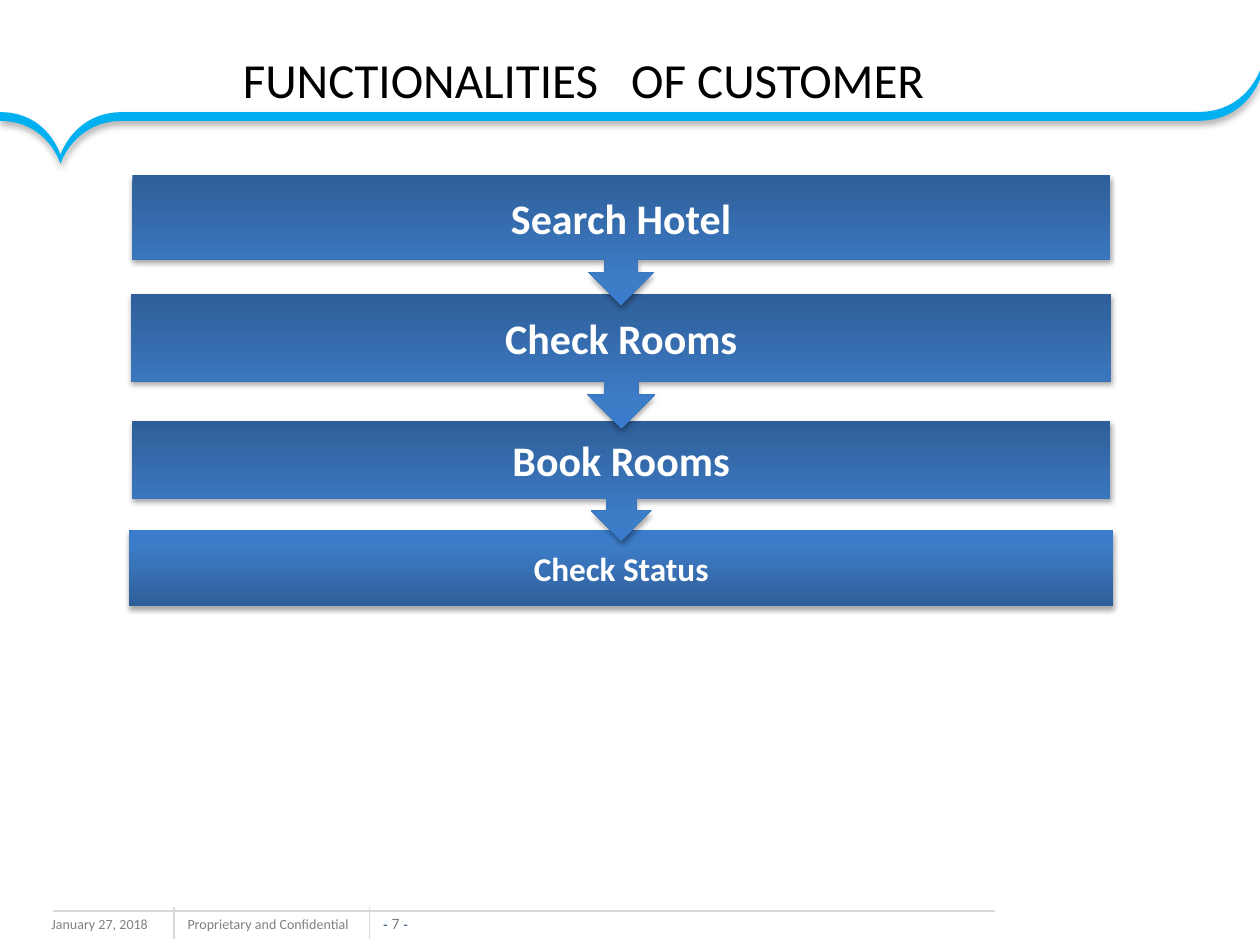
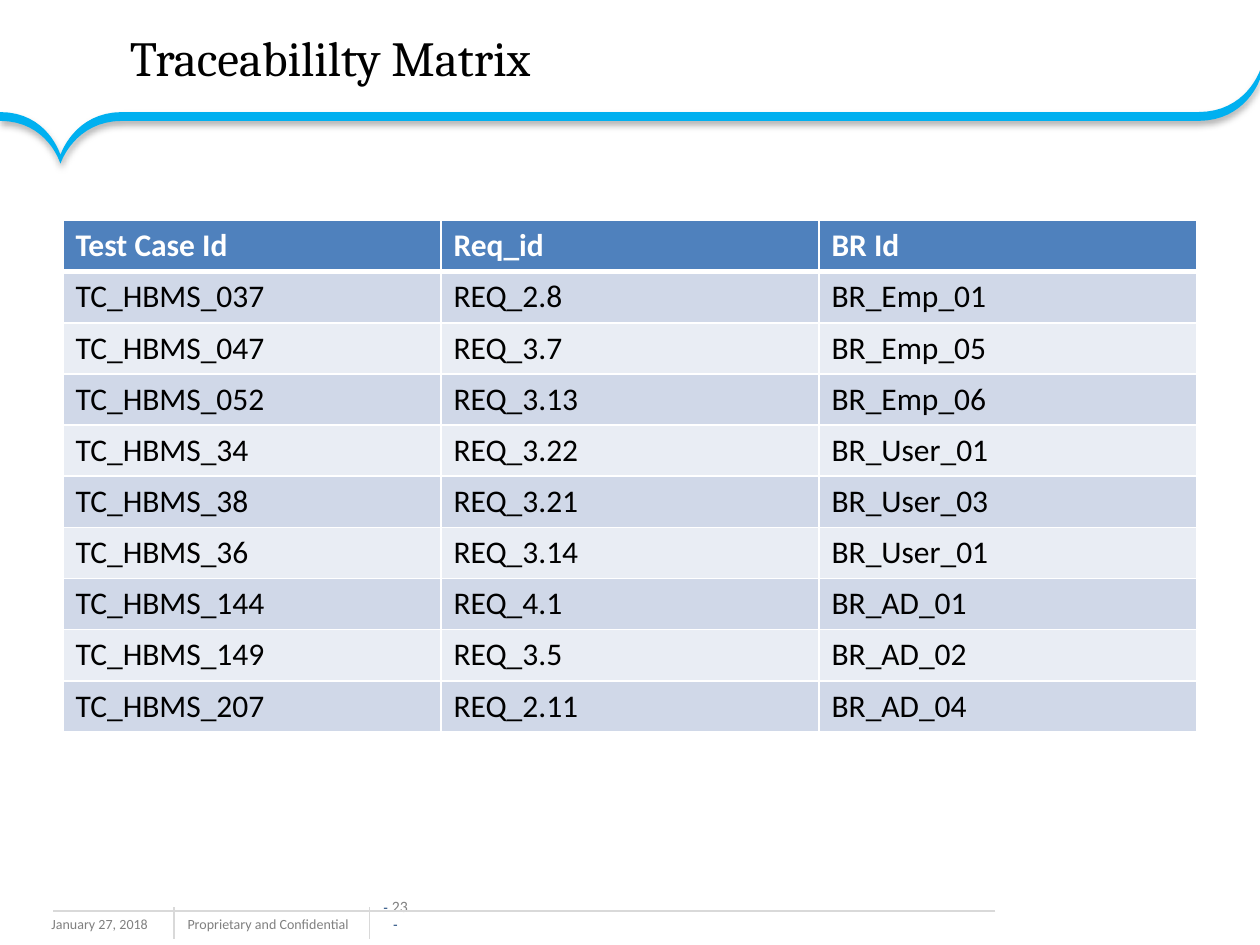
"""Build the customer functionality flow and the traceability matrix slides."""
from dataclasses import dataclass

from pptx import Presentation
from pptx.dml.color import RGBColor
from pptx.enum.shapes import MSO_CONNECTOR, MSO_SHAPE
from pptx.enum.text import MSO_ANCHOR, MSO_AUTO_SIZE, PP_ALIGN
from pptx.oxml import parse_xml
from pptx.oxml.ns import nsdecls, qn
from pptx.util import Inches, Pt

LEFT, CENTER = PP_ALIGN.LEFT, PP_ALIGN.CENTER
TOP, MIDDLE, BOTTOM = MSO_ANCHOR.TOP, MSO_ANCHOR.MIDDLE, MSO_ANCHOR.BOTTOM
NO_AUTOFIT = MSO_AUTO_SIZE.NONE
STRAIGHT = MSO_CONNECTOR.STRAIGHT
RECTANGLE, CALLOUT = MSO_SHAPE.RECTANGLE, MSO_SHAPE.UP_ARROW_CALLOUT

WIDTH, HEIGHT = Inches(10), Inches(7.5)
COLUMN, ROW = WIDTH / 100, HEIGHT / 75
BODY, SERIF, DASH_FONT = "Calibri", "Cambria", "Arial"
COLORS = {
    "wave": "00B0F0", "black": "000000", "white": "FFFFFF",
    "footer": "808080", "dash": "1F497D", "rule": "D9D9D9",
    "header": "4F81BD", "odd": "D0D8E8", "even": "E9EDF4",
    "step dark": "2F5F99", "step mid": "3D7CC7", "step light": "3A7CCB",
}
STEP_STOPS = ((0, "step dark"), (80, "step mid"), (100, "step light"))


@dataclass(frozen=True)
class Area:
    """A rectangle in grid columns and rows."""
    left: float
    top: float
    width: float
    height: float

    def emu(self) -> tuple[int, int, int, int]:
        """Return the rectangle in slide units."""
        return (round(self.left * COLUMN), round(self.top * ROW),
                round(self.width * COLUMN), round(self.height * ROW))


@dataclass(frozen=True)
class Span:
    """A stretch of text with one style."""
    text: str
    size: float
    color: str
    font: str = BODY
    bold: bool = False
    tracking: float = 0


@dataclass(frozen=True)
class Shadow:
    """A downward shadow: opacity in percent, blur and distance in points."""
    opacity: float
    blur: float
    distance: float


@dataclass(frozen=True)
class Step:
    """One box of the flow, centred on the flow axis."""
    label: str
    top: float
    width: float
    height: float
    size: float = 24
    has_arrow: bool = True


WAVE_SHADOW, STEP_SHADOW = Shadow(31, 4, 2), Shadow(35, 3.1, 1.8)
WAVE_START, WAVE_THICKNESS = (100, 5.6), 0.7
WAVE_CURVES = (
    ((100, 5.6), (98.9, 8.9), (95.1, 8.9)),
    ((95.1, 8.9), (9.7, 8.9), (9.7, 8.9)),
    ((5.9, 8.9), (4.8, 12.3), (4.8, 12.3)),
    ((4.8, 12.3), (3.8, 8.9), (0, 8.9)),
)
FOOTER_RULES = ((13.8, 72, 13.8, 74.5), (29.3, 72, 29.3, 74.5), (79, 72.3, 4.2, 72.3))
FLOW_AXIS, CALLOUT_BODY = 49.3, 0.65
STEPS = (
    Step("Search Hotel", 13.9, 77.6, 10.3),
    Step("Check Rooms", 23.3, 77.8, 10.7),
    Step("Book Rooms", 33.4, 77.7, 9.5),
    Step("Check Status", 42.1, 78.1, 6, size=19, has_arrow=False),
)
MATRIX_AREA = Area(5, 17.5, 90, 40.6)
MATRIX = (
    ("Test Case Id", "Req_id", "BR Id"),
    ("TC_HBMS_037", "REQ_2.8", "BR_Emp_01"),
    ("TC_HBMS_047", "REQ_3.7", "BR_Emp_05"),
    ("TC_HBMS_052", "REQ_3.13", "BR_Emp_06"),
    ("TC_HBMS_34", "REQ_3.22", "BR_User_01"),
    ("TC_HBMS_38", "REQ_3.21", "BR_User_03"),
    ("TC_HBMS_36", "REQ_3.14", "BR_User_01"),
    ("TC_HBMS_144", "REQ_4.1", "BR_AD_01"),
    ("TC_HBMS_149", "REQ_3.5", "BR_AD_02"),
    ("TC_HBMS_207", "REQ_2.11", "BR_AD_04"),
)


def rgb(name: str) -> RGBColor:
    """Return a named colour."""
    return RGBColor.from_string(COLORS[name])


def write_spans(para, spans: tuple[Span, ...]) -> None:
    """Fill a paragraph with styled spans."""
    for span in spans:
        run = para.add_run()
        run.text = span.text
        font = run.font
        font.name, font.size, font.bold = span.font, Pt(span.size), span.bold
        font.color.rgb = rgb(span.color)
        if span.tracking:
            run._r.get_or_add_rPr().set("spc", str(round(span.tracking * 100)))


def set_effects(shape, shadow: Shadow | None = None) -> None:
    """Replace the theme effects of a shape by a shadow or by nothing."""
    inner = ""
    if shadow:
        inner = (f'<a:outerShdw blurRad="{Pt(shadow.blur)}" dist="{Pt(shadow.distance)}" '
                 f'dir="5400000" rotWithShape="0"><a:srgbClr val="{COLORS["black"]}">'
                 f'<a:alpha val="{shadow.opacity * 1000}"/></a:srgbClr></a:outerShdw>')
    effects = parse_xml(f'<a:effectLst {nsdecls("a")}>{inner}</a:effectLst>')
    shape._element.spPr.append(effects)


def add_text(page, area: Area, *spans: Span, align=LEFT, anchor=TOP,
             inset: float | None = None, wrap: bool = True) -> None:
    """Add a text box with one paragraph."""
    frame = page.shapes.add_textbox(*area.emu()).text_frame
    frame.word_wrap, frame.auto_size = wrap, NO_AUTOFIT
    frame.vertical_anchor = anchor
    if inset is not None:
        frame.margin_left = frame.margin_right = Inches(inset)
        frame.margin_top = frame.margin_bottom = Inches(inset)
    para = frame.paragraphs[0]
    para.alignment = align
    write_spans(para, spans)


def add_wave(page) -> None:
    """Draw the curved band under the title."""
    edge = [WAVE_START]
    for first, second, end in WAVE_CURVES:
        start = edge[-1]
        for index in range(1, 17):
            t = index / 16
            weights = ((1 - t) ** 3, 3 * t * (1 - t) ** 2, 3 * t * t * (1 - t), t ** 3)
            corners = (start, first, second, end)
            edge.append(tuple(sum(weight * corner[axis] for weight, corner in zip(weights, corners))
                              for axis in (0, 1)))
    outline = edge + [(x, y + WAVE_THICKNESS) for x, y in reversed(edge)]
    points = [(round(x * COLUMN), round(y * ROW)) for x, y in outline]
    builder = page.shapes.build_freeform(*points[0])
    builder.add_line_segments(points[1:], close=True)
    wave = builder.convert_to_shape()
    wave.fill.solid()
    wave.fill.fore_color.rgb = rgb("wave")
    wave.line.fill.background()
    set_effects(wave, WAVE_SHADOW)


def add_footer(page, number: int) -> None:
    """Draw the date, the notice, the page number and their rules."""
    add_text(page, Area(3.1, 72.2, 13.3, 2.5), Span("January 27, 2018", 8, "footer"))
    add_text(page, Area(13.9, 72.2, 15.7, 2.4),
             Span("Proprietary and Confidential", 8, "footer"), wrap=False)
    add_text(page, Area(30.1, 72.5, 2.6, 1.5), Span("- ", 8, "dash", DASH_FONT),
             Span(f"{number} ", 9, "footer"), Span("-", 8, "dash", DASH_FONT),
             align=CENTER, anchor=BOTTOM, inset=0)
    for x1, y1, x2, y2 in FOOTER_RULES:
        rule = page.shapes.add_connector(STRAIGHT, round(x1 * COLUMN), round(y1 * ROW),
                                         round(x2 * COLUMN), round(y2 * ROW))
        rule.line.color.rgb = rgb("rule")
        rule.line.width = Pt(0.75)
        set_effects(rule)


def add_page(deck, number: int, area: Area, *spans: Span, align=LEFT, indent: float = 0):
    """Add a slide with its title, band and footer."""
    page = deck.slides.add_slide(deck.slide_layouts[5])
    title = page.shapes.title
    title.left, title.top, title.width, title.height = area.emu()
    frame = title.text_frame
    frame.word_wrap, frame.auto_size = True, NO_AUTOFIT
    frame.vertical_anchor = MIDDLE
    frame.margin_left = Inches(0.1 + indent)
    para = frame.paragraphs[0]
    para.alignment = align
    write_spans(para, spans)
    add_footer(page, number)
    add_wave(page)
    return page


def add_step(page, step: Step) -> None:
    """Draw one step of the flow with its label."""
    left = FLOW_AXIS - step.width / 2
    shape = page.shapes.add_shape(CALLOUT if step.has_arrow else RECTANGLE,
                                  *Area(left, step.top, step.width, step.height).emu())
    shape.rotation = 180 if step.has_arrow else 0
    stops = "".join(f'<a:gs pos="{share * 1000}"><a:srgbClr val="{COLORS[name]}"/></a:gs>'
                    for share, name in STEP_STOPS)
    gradient = parse_xml(f'<a:gradFill {nsdecls("a")} rotWithShape="1"><a:gsLst>{stops}</a:gsLst>'
                         '<a:lin ang="16200000" scaled="0"/></a:gradFill>')
    shape._element.spPr.find(qn("a:prstGeom")).addnext(gradient)
    shape.line.fill.background()
    set_effects(shape, STEP_SHADOW)
    body = step.height * (CALLOUT_BODY if step.has_arrow else 1)
    add_text(page, Area(left, step.top, step.width, body),
             Span(step.label, step.size, "white", bold=True),
             align=CENTER, anchor=MIDDLE, inset=0.15)


def set_borders(cell, row: int) -> None:
    """Give a cell white borders, with a thick one under the header."""
    widths = {"lnL": 1, "lnR": 1, "lnT": 3 if row == 1 else 1, "lnB": 3 if row == 0 else 1}
    for side, width in widths.items():
        cell._tc.get_or_add_tcPr().append(parse_xml(
            f'<a:{side} {nsdecls("a")} w="{Pt(width)}"><a:solidFill>'
            f'<a:srgbClr val="{COLORS["white"]}"/></a:solidFill></a:{side}>'))


def add_matrix(page) -> None:
    """Draw the traceability table."""
    table = page.shapes.add_table(len(MATRIX), len(MATRIX[0]), *MATRIX_AREA.emu()).table
    table.horz_banding = False
    for row, texts in enumerate(MATRIX):
        is_header = row == 0
        fill = "header" if is_header else ("even", "odd")[row % 2]
        for column, text in enumerate(texts):
            cell = table.cell(row, column)
            set_borders(cell, row)
            cell.fill.solid()
            cell.fill.fore_color.rgb = rgb(fill)
            write_spans(cell.text_frame.paragraphs[0],
                        (Span(text, 18, "white" if is_header else "black", bold=is_header),))


def main() -> None:
    """Build and save the deck."""
    deck = Presentation()
    deck.slide_width, deck.slide_height = WIDTH, HEIGHT
    flow = add_page(deck, 7, Area(1.3, 0, 90, 12.5), Span("FUNCTIONALITIES", 28, "black"),
                    Span(" ", 28, "black", tracking=12.6), Span("OF CUSTOMER", 28, "black"),
                    align=CENTER)
    for step in reversed(STEPS):
        add_step(flow, step)
    matrix = add_page(deck, 23, Area(3.3, 0.2, 90, 8.7),
                      Span("Traceabililty Matrix", 28, "black", SERIF), indent=0.6)
    add_matrix(matrix)
    deck.save("out.pptx")


if __name__ == "__main__":
    main()
